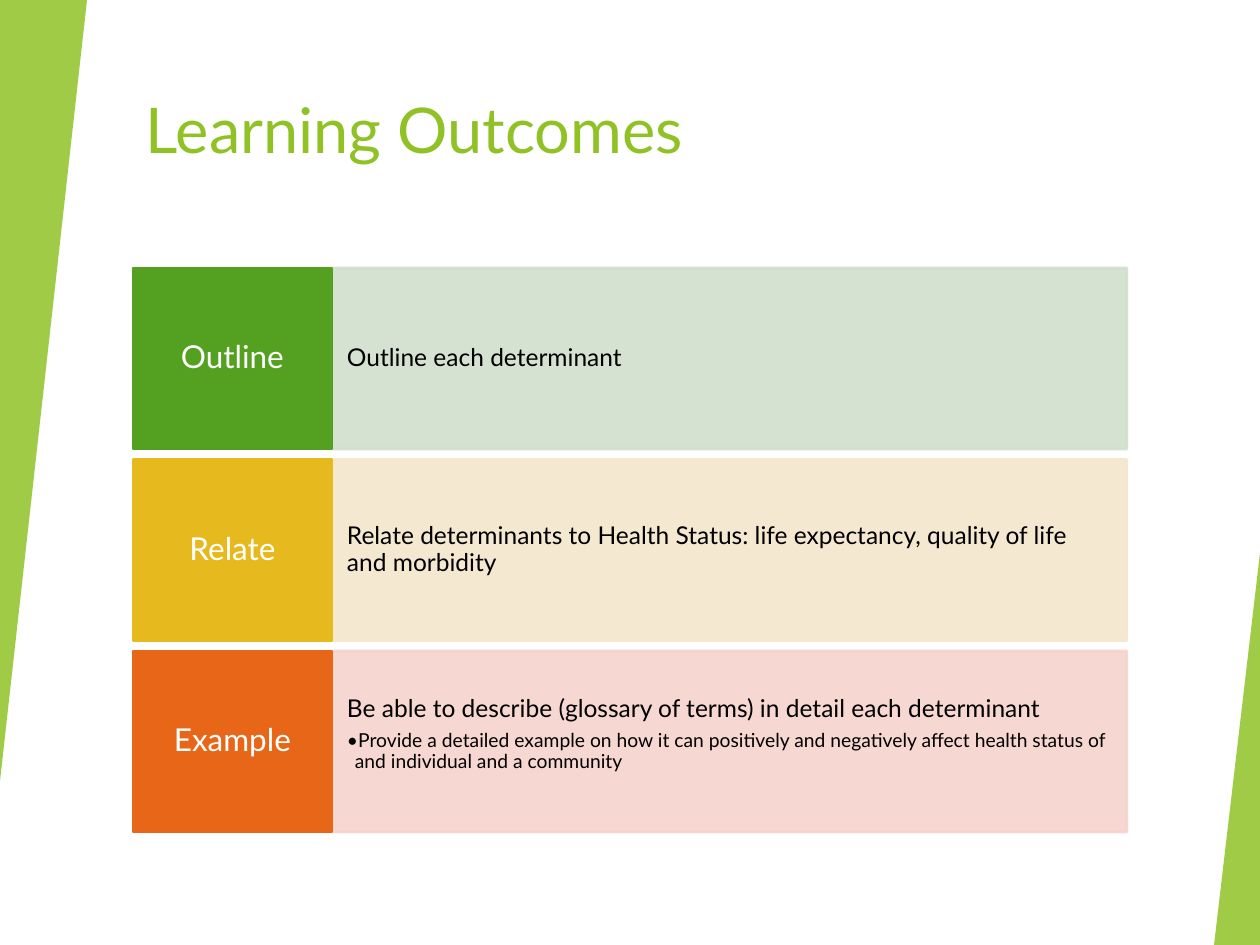
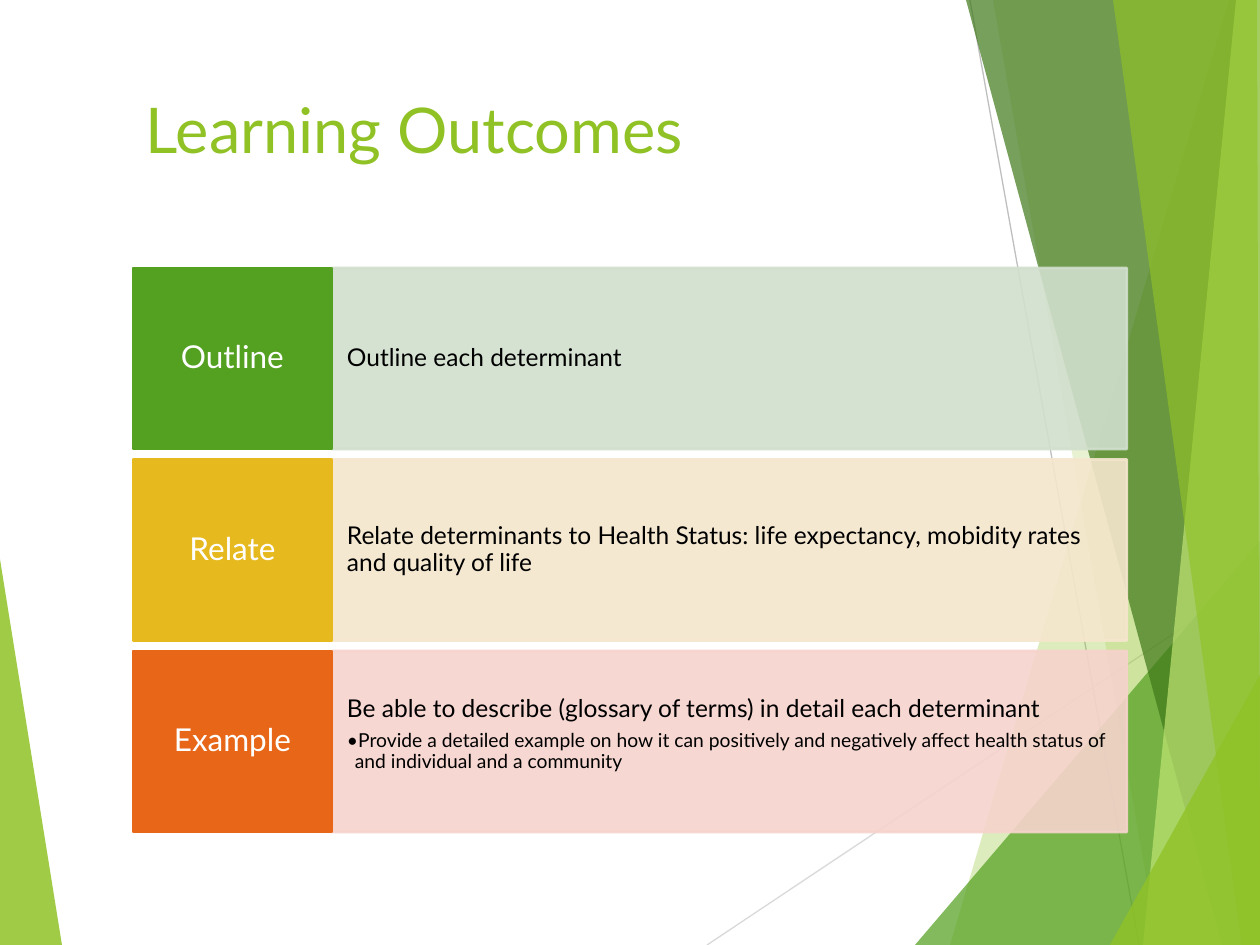
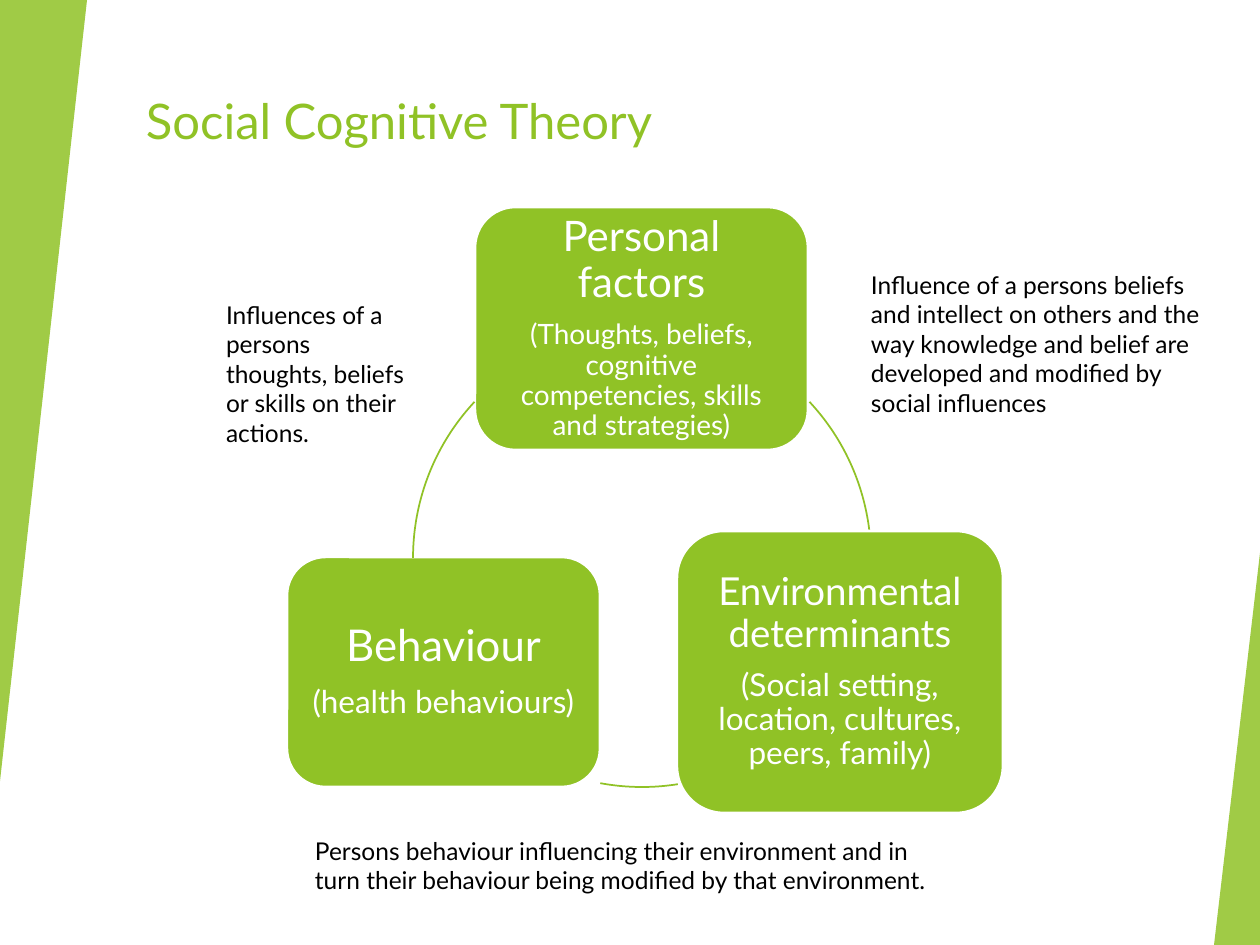
from lxml.etree import SubElement
from pptx import Presentation
from pptx.dml.color import RGBColor
from pptx.enum.shapes import MSO_CONNECTOR, MSO_SHAPE
from pptx.enum.text import MSO_ANCHOR, MSO_AUTO_SIZE, PP_ALIGN
from pptx.oxml.ns import qn
from pptx.util import Emu, Pt

SCALE = 914400 / 126
WIDTH, HEIGHT = 1260, 945
FONT = "Lato"

BLACK = RGBColor(0x00, 0x00, 0x00)
WHITE = RGBColor(0xFF, 0xFF, 0xFF)
LIME = RGBColor(0x90, 0xC2, 0x26)
PALE_LIME = RGBColor(0xC0, 0xE4, 0x74)
GREEN = RGBColor(0x54, 0xA0, 0x21)
DARK_GREEN = RGBColor(0x3F, 0x78, 0x19)
GOLD = RGBColor(0xE6, 0xB9, 0x1E)
ORANGE = RGBColor(0xE7, 0x66, 0x18)
PALE_GREEN = RGBColor(0xD1, 0xDF, 0xCD)
PALE_GOLD = RGBColor(0xF5, 0xE6, 0xCD)
PALE_RED = RGBColor(0xF6, 0xD3, 0xCC)
LIGHT_GREY = RGBColor(0xD9, 0xD9, 0xD9)
GREY = RGBColor(0xBF, 0xBF, 0xBF)

# Background: (corners, colour, opacity in percent) and (from, to, colour)
FACETS = [
    ([(0, 559), (62, 945), (0, 945)], LIME, 85),
    ([(1229, 0), (950, 945), (1260, 945), (1260, 0)], LIME, 30),
    ([(993, 0), (1158, 945), (1260, 945), (1260, 0)], LIME, 20),
    ([(915, 945), (1260, 541), (1260, 945)], GREEN, 72),
    ([(966, 0), (1222, 945), (1260, 945), (1260, 0)], DARK_GREEN, 70),
    ([(1236, 0), (1143, 945), (1260, 945), (1260, 0)], PALE_LIME, 70),
    ([(1113, 0), (1242, 945), (1260, 945), (1257, 0)], LIME, 65),
    ([(1110, 945), (1260, 675), (1260, 945)], LIME, 80),
]
RAYS = [((707, 945), (1260, 576), LIGHT_GREY), ((970, 0), (1139, 945), GREY)]
# Corner triangles: (left, top, width, height, rotation)
CORNERS = [(0, 0, 87, 781, 180), (1214, 553, 46, 392, 0)]

# Outcome rows: label, label colour, panel colour
ROWS = [
    ("Outline", GREEN, PALE_GREEN),
    ("Relate", GOLD, PALE_GOLD),
    ("Example", ORANGE, PALE_RED),
]
EXAMPLE_LINES = [
    ("Be able to describe (glossary of terms) in detail each determinant", 14),
    ("Provide a detailed example on how it can positively and negatively affect "
     "health status of and individual and a community", 11),
]
RELATE_FIRST = ("Relate determinants to Health Status: life expectancy, "
                "quality of life and morbidity")
RELATE_SECOND = ("Relate determinants to Health Status: life expectancy, "
                 "mobidity rates and quality of life")
ROWS_TOP, ROWS_BOTTOM, ROW_HEIGHT = 268, 832, 181
LABEL_LEFT, LABEL_WIDTH, PANEL_WIDTH = 133, 199, 795

# Theory: (place, [(text, size), ...])
FACTORS = [
    ((475, 207, 333, 243), [
        ("Personal factors", 24),
        ("(Thoughts, beliefs, cognitive competencies, skills and strategies)", 16)]),
    ((677, 531, 326, 282), [
        ("Environmental determinants", 22),
        ("(Social setting, location, cultures, peers, family)", 18)]),
    ((287, 557, 313, 230), [("Behaviour", 25), ("(health behaviours)", 18)]),
]
CYCLE = (413, 329, 458, 458)
ARC_DEGREES = [(317, 353), (81, 100.5), (180, 223)]
INFLUENCES = [
    ((214, 294, 208, 161),
     "Influences of a persons thoughts, beliefs or skills on their actions."),
    ((859, 264, 357, 161),
     "Influence of a persons beliefs and intellect on others and the way knowledge "
     "and belief are developed and modified by social influences"),
    ((303, 830, 665, 72),
     "Persons behaviour influencing their environment and in turn their behaviour "
     "being modified by that environment."),
]


def px(length):
    return Emu(round(length * SCALE))


def set_opacity(color_parent, percent):
    for color in color_parent.iter(qn("a:srgbClr")):
        SubElement(color, qn("a:alpha"), val=str(percent * 1000))


def paint(shape, fill, line=None, opacity=100):
    shape.shadow.inherit = False
    shape.fill.solid()
    shape.fill.fore_color.rgb = fill
    if line is None:
        shape.line.fill.background()
    else:
        shape.line.color.rgb = line
        shape.line.width = Pt(1.5)
    if opacity < 100:
        set_opacity(shape._element.spPr, opacity)


def write(shape, lines, color, align=PP_ALIGN.LEFT, anchor=MSO_ANCHOR.TOP,
          insets=(12, 6), spacing=None):
    """Fill a shape with (text, size) lines; insets are horizontal and vertical."""
    frame = shape.text_frame
    frame.word_wrap = True
    frame.auto_size = MSO_AUTO_SIZE.NONE
    frame.vertical_anchor = anchor
    frame.margin_left = frame.margin_right = px(insets[0])
    frame.margin_top = frame.margin_bottom = px(insets[1])
    frame.text = "\n".join(text for text, _ in lines)
    for index, (para, (_, size)) in enumerate(zip(frame.paragraphs, lines)):
        para.alignment = align
        if spacing:
            para.line_spacing = spacing
        if index < len(lines) - 1:
            para.space_after = Pt(round(size * 0.35, 1))
        for span in para.runs:
            span.font.name = FONT
            span.font.size = Pt(size)
            span.font.color.rgb = color


def add_bullet(para, indent):
    properties = para._p.get_or_add_pPr()
    properties.set("marL", str(px(indent)))
    properties.set("indent", str(-px(indent)))
    SubElement(properties, qn("a:buFont"), typeface=FONT)
    SubElement(properties, qn("a:buChar"), char="•")


def add_box(page, kind, place):
    return page.shapes.add_shape(kind, *map(px, place))


def add_page(deck, title, size, place):
    page = deck.slides.add_slide(deck.slide_layouts[5])
    box = page.shapes.title
    box.left, box.top, box.width, box.height = map(px, place)
    write(box, [(title, size)], LIME)
    return page


def add_facets(page):
    """Draw the background art and hand it to the layout that all pages share."""
    art = []
    for corners, color, opacity in FACETS:
        builder = page.shapes.build_freeform(*corners[0], scale=SCALE)
        builder.add_line_segments(corners[1:], close=True)
        facet = builder.convert_to_shape()
        paint(facet, color, opacity=opacity)
        art.append(facet)
    for start, end, color in RAYS:
        ray = page.shapes.add_connector(MSO_CONNECTOR.STRAIGHT, *map(px, start + end))
        ray.line.color.rgb = color
        ray.line.width = Pt(0.75)
        SubElement(ray._element.spPr, qn("a:effectLst"))
        art.insert(1, ray)
    layout_tree = page.slide_layout.shapes._spTree
    for position, shape in enumerate(art, start=2):
        layout_tree.insert(position, shape._element)


def draw_plain_background(page):
    """Lay a white sheet with two corner triangles behind the title."""
    sheet = add_box(page, MSO_SHAPE.RECTANGLE, (0, 0, WIDTH, HEIGHT))
    paint(sheet, WHITE)
    page.shapes._spTree.insert(2, sheet._element)
    for *place, rotation in CORNERS:
        triangle = add_box(page, MSO_SHAPE.ISOSCELES_TRIANGLE, place)
        triangle.adjustments[0] = 1
        triangle.rotation = rotation
        paint(triangle, LIME, opacity=85)


def draw_outcomes(page, relate):
    details = [[("Outline each determinant", 14)], [(relate, 14)], EXAMPLE_LINES]
    travel = ROWS_BOTTOM - ROWS_TOP - ROW_HEIGHT
    for index, ((label, strong, pale), lines) in enumerate(zip(ROWS, details)):
        top = ROWS_TOP + index * travel / (len(ROWS) - 1)
        panel = add_box(page, MSO_SHAPE.RECTANGLE,
                        (LABEL_LEFT + LABEL_WIDTH, top, PANEL_WIDTH, ROW_HEIGHT))
        paint(panel, pale, pale, 90)
        anchor = MSO_ANCHOR.MIDDLE if len(lines) == 1 else MSO_ANCHOR.TOP
        write(panel, lines, BLACK, anchor=anchor, insets=(15, 45), spacing=0.9)
        for para in panel.text_frame.paragraphs[1:]:
            add_bullet(para, 8)
        tile = add_box(page, MSO_SHAPE.RECTANGLE,
                       (LABEL_LEFT, top, LABEL_WIDTH, ROW_HEIGHT))
        paint(tile, strong, strong)
        write(tile, [(label, 18)], WHITE, PP_ALIGN.CENTER, MSO_ANCHOR.MIDDLE,
              (10, 18), 0.9)


def draw_theory(page):
    for (place, lines), angles in zip(FACTORS, ARC_DEGREES):
        factor = add_box(page, MSO_SHAPE.ROUNDED_RECTANGLE, place)
        paint(factor, LIME, WHITE)
        write(factor, lines, WHITE, PP_ALIGN.CENTER, MSO_ANCHOR.MIDDLE, (12, 12), 0.9)
        arc = add_box(page, MSO_SHAPE.ARC, CYCLE)
        arc.shadow.inherit = False
        arc.fill.background()
        arc.line.color.rgb = LIME
        arc.line.width = Pt(1)
        for index, degrees in enumerate(angles):
            arc.adjustments[index] = degrees * 0.6  # 60000 units a degree, over 100000
    for place, text in INFLUENCES:
        write(page.shapes.add_textbox(*map(px, place)), [(text, 14)], BLACK)


def main():
    deck = Presentation()
    deck.slide_width, deck.slide_height = px(WIDTH), px(HEIGHT)

    outcomes_place = (134, 85, 1053, 151)
    page = add_page(deck, "Learning Outcomes", 36, outcomes_place)
    add_facets(page)
    draw_plain_background(page)
    draw_outcomes(page, RELATE_FIRST)

    page = add_page(deck, "Learning Outcomes", 36, outcomes_place)
    draw_outcomes(page, RELATE_SECOND)

    page = add_page(deck, "Social Cognitive Theory", 28, (134, 85, 1043, 81))
    draw_plain_background(page)
    draw_theory(page)

    deck.save("out.pptx")


if __name__ == "__main__":
    main()
